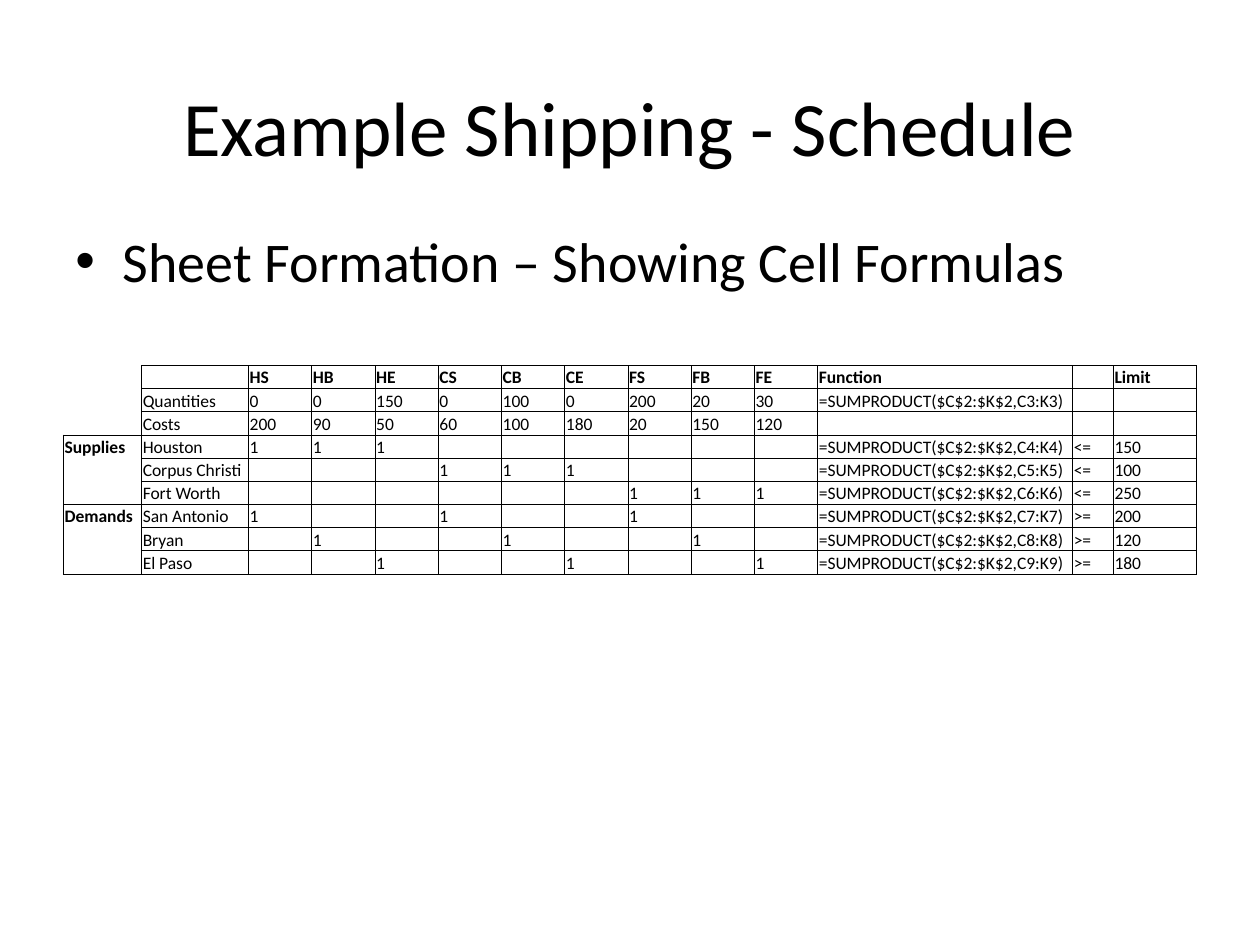
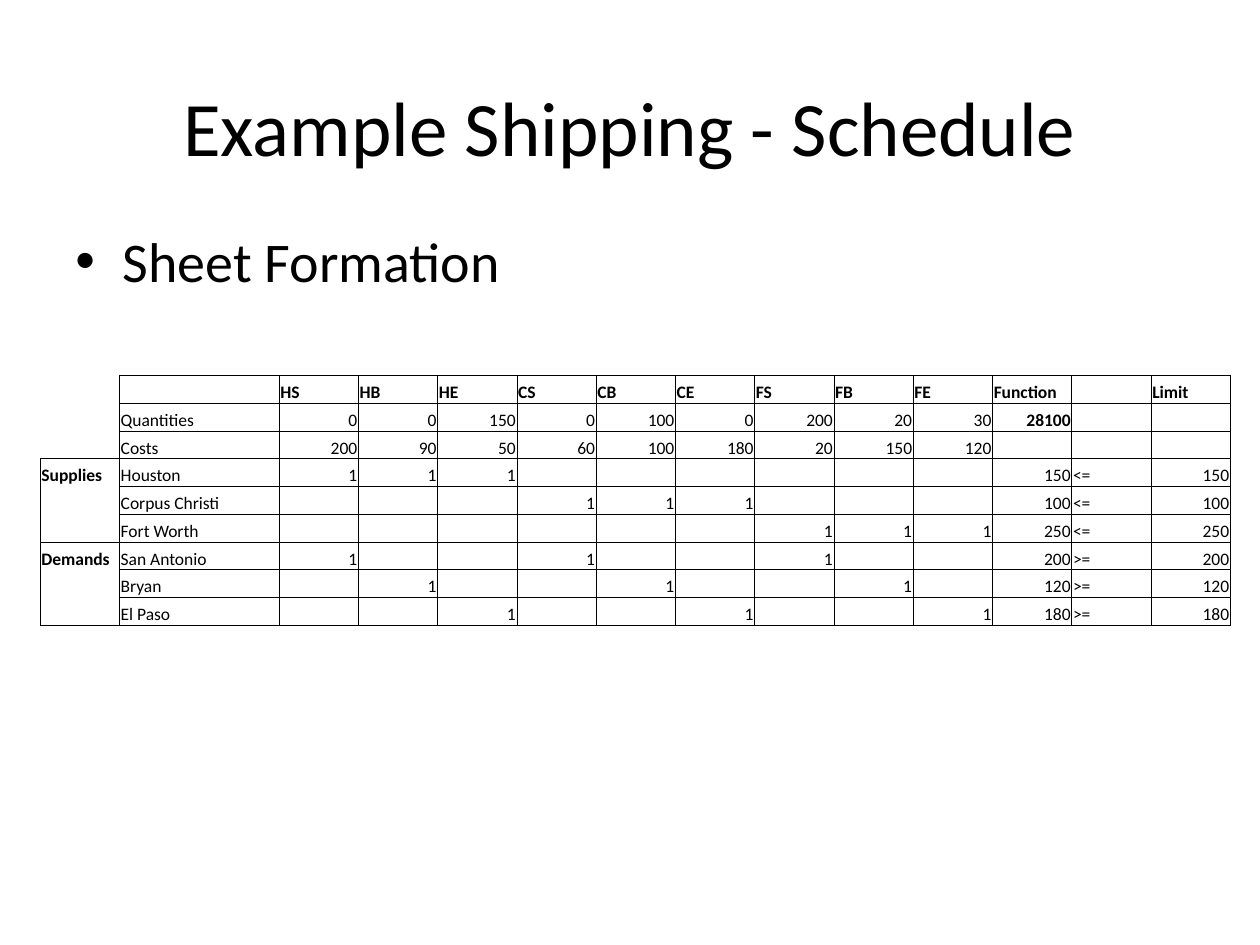
"""Build two slides showing a shipping schedule as a spreadsheet model."""
from dataclasses import dataclass
from itertools import product
from typing import Any

from lxml.etree import SubElement
from pptx import Presentation
from pptx.dml.color import RGBColor
from pptx.enum.text import MSO_ANCHOR, PP_ALIGN
from pptx.oxml.ns import qn
from pptx.slide import Slide
from pptx.table import _Cell
from pptx.text.text import _Paragraph
from pptx.util import Pt


@dataclass(frozen=True)
class Theme:
    """Colours, font and type sizes shared by the slides."""
    ink: str = "000000"
    font: str = "Calibri"
    title_size: float = 44
    body_size: float = 32
    cell_size: float = 10
    border_width: float = 0.5


@dataclass(frozen=True)
class Box:
    """Position and size in points."""
    left: float
    top: float
    width: float
    height: float


@dataclass(frozen=True)
class City:
    """A supply or demand row with its limit."""
    name: str
    operator: str
    limit: int


@dataclass(frozen=True)
class Schedule:
    """One slide: its bullet, table place and display of functions."""
    bullet: str
    left: float
    top: float
    row_height: float
    columns: tuple[float, ...]
    shows_formulas: bool


THEME = Theme()
TITLE = "Example Shipping - Schedule"
TITLE_BOX = Box(36, 27, 648, 90)
BODY_BOX = Box(36, 126, 648, 356.4)
HANGING_INDENT = 27
ROUTES = [origin + destination for origin, destination in product("HCF", "SBE")]
QUANTITIES = [0, 0, 150, 0, 100, 0, 200, 20, 30]
COSTS = [200, 90, 50, 60, 100, 180, 20, 150, 120]
CITIES = [
    City("Houston", "<=", 150),
    City("Corpus Christi", "<=", 100),
    City("Fort Worth", "<=", 250),
    City("San Antonio", ">=", 200),
    City("Bryan", ">=", 120),
    City("El Paso", ">=", 180),
]
GROUPS = {3: "Supplies", 6: "Demands"}
GROUP_SIZE = 3
FUNCTION_COLUMN = 11
SCHEDULES = [
    Schedule("Sheet Formation – Showing Cell Formulas", 36.2, 208.8, 13.25,
             (44.7, 61.1, *[36.15] * 9, 145.7, 23.3, 47.5), True),
    Schedule("Sheet Formation", 23, 214.6, 15.85,
             (45.3, 91.2, *[45.3] * 12), False),
]


def apply_format(target: Any, values: dict[str, Any]) -> None:
    """Set each named attribute on the target."""
    for name, value in values.items():
        setattr(target, name, value)


def write_text(paragraph: _Paragraph, text: str, size: float, bold: bool = False) -> None:
    """Add one run in the theme font."""
    run = paragraph.add_run()
    run.text = text
    apply_format(run.font, {"name": THEME.font, "size": Pt(size), "bold": bold})
    run.font.color.rgb = RGBColor.from_string(THEME.ink)


def add_text(slide: Slide, box: Box, text: str, size: float,
             anchor: MSO_ANCHOR, alignment: PP_ALIGN) -> _Paragraph:
    """Add a wrapping text box and return its paragraph."""
    shape = slide.shapes.add_textbox(Pt(box.left), Pt(box.top), Pt(box.width), Pt(box.height))
    apply_format(shape.text_frame, {"word_wrap": True, "vertical_anchor": anchor})
    paragraph = shape.text_frame.paragraphs[0]
    paragraph.alignment = alignment
    write_text(paragraph, text, size)
    return paragraph


def add_bullet(paragraph: _Paragraph) -> None:
    """Give a paragraph a round bullet, a hanging indent and space before."""
    properties = paragraph._p.get_or_add_pPr()
    properties.set("marL", str(Pt(HANGING_INDENT)))
    properties.set("indent", str(-Pt(HANGING_INDENT)))
    spacing = SubElement(properties, qn("a:spcBef"))
    SubElement(spacing, qn("a:spcPct"), val="20000")
    SubElement(properties, qn("a:buFont"), typeface="Arial")
    SubElement(properties, qn("a:buChar"), char="•")


def sum_product(coefficients: list[int]) -> int:
    """Multiply coefficients by the shipped quantities and add them up."""
    return sum(quantity * value for quantity, value in zip(QUANTITIES, coefficients))


def function_text(coefficients: list[int], sheet_row: int, shows_formulas: bool) -> str:
    """Return the formula of a sheet row or its value."""
    if shows_formulas:
        return f"=SUMPRODUCT($C$2:$K$2,C{sheet_row}:K{sheet_row})"
    return str(sum_product(coefficients))


def schedule_rows(shows_formulas: bool) -> list[list[str]]:
    """Lay out the model as rows of cell texts."""
    rows = [
        ["", "", *ROUTES, "Function", "", "Limit"],
        ["", "Quantities", *map(str, QUANTITIES),
         function_text(COSTS, 3, shows_formulas), "", ""],
        ["", "Costs", *map(str, COSTS), "", "", ""],
    ]
    for index, city in enumerate(CITIES, start=len(rows)):
        used = [int(city.name[0] in route) for route in ROUTES]
        rows.append([
            GROUPS.get(index, ""), city.name, *("1" if value else "" for value in used),
            function_text(used, index + 1, shows_formulas), city.operator, str(city.limit),
        ])
    return rows


def border_sides(row: int, column: int) -> str:
    """Name the sides of a cell that carry a line."""
    if column > 0:
        return "LRTB"
    first_group = min(GROUPS)
    sides = "R" if row < first_group else "LR"
    if row in GROUPS:
        sides += "T"
    if row >= first_group - 1 and row % GROUP_SIZE == GROUP_SIZE - 1:
        sides += "B"
    return sides


def draw_borders(cell: _Cell, sides: str) -> None:
    """Line the given sides and clear the others."""
    properties = cell._tc.get_or_add_tcPr()
    for side in "LRTB":
        line = SubElement(properties, qn(f"a:ln{side}"), w=str(Pt(THEME.border_width)))
        if side in sides:
            fill = SubElement(line, qn("a:solidFill"))
            SubElement(fill, qn("a:srgbClr"), val=THEME.ink)
        else:
            SubElement(line, qn("a:noFill"))


def fill_cell(cell: _Cell, text: str, bold: bool, alignment: PP_ALIGN) -> None:
    """Write a cell with tight margins and no fill."""
    cell.fill.background()
    apply_format(cell, {
        "margin_left": Pt(0.72), "margin_right": Pt(0.72), "margin_top": Pt(0.72),
        "margin_bottom": Pt(0), "vertical_anchor": MSO_ANCHOR.BOTTOM,
    })
    paragraph = cell.text_frame.paragraphs[0]
    paragraph.alignment = alignment
    if text:
        write_text(paragraph, text, THEME.cell_size, bold)
    else:
        SubElement(paragraph._p, qn("a:endParaRPr"), sz=str(int(THEME.cell_size * 100)))


def add_schedule_table(slide: Slide, schedule: Schedule) -> None:
    """Draw the model as a bordered table."""
    rows = schedule_rows(schedule.shows_formulas)
    table = slide.shapes.add_table(
        len(rows), len(schedule.columns), Pt(schedule.left), Pt(schedule.top),
        Pt(sum(schedule.columns)), Pt(schedule.row_height * len(rows))).table
    apply_format(table, {"first_row": False, "horz_banding": False})
    for column, width in zip(table.columns, schedule.columns):
        column.width = Pt(width)
    for row_index, texts in enumerate(rows):
        table.rows[row_index].height = Pt(schedule.row_height)
        for column_index, text in enumerate(texts):
            cell = table.cell(row_index, column_index)
            is_total = (row_index, column_index) == (1, FUNCTION_COLUMN)
            bold = (row_index == 0 or column_index == 0
                    or is_total and not schedule.shows_formulas)
            right = text.isdigit() and not schedule.shows_formulas
            draw_borders(cell, border_sides(row_index, column_index))
            fill_cell(cell, text, bold, PP_ALIGN.RIGHT if right else PP_ALIGN.LEFT)


def main() -> None:
    """Build and save the presentation."""
    presentation = Presentation()
    apply_format(presentation, {"slide_width": Pt(720), "slide_height": Pt(540)})
    for schedule in SCHEDULES:
        slide = presentation.slides.add_slide(presentation.slide_layouts[6])
        add_text(slide, TITLE_BOX, TITLE, THEME.title_size, MSO_ANCHOR.MIDDLE, PP_ALIGN.CENTER)
        add_bullet(add_text(slide, BODY_BOX, schedule.bullet, THEME.body_size,
                            MSO_ANCHOR.TOP, PP_ALIGN.LEFT))
        add_schedule_table(slide, schedule)
    presentation.save("out.pptx")


if __name__ == "__main__":
    main()
